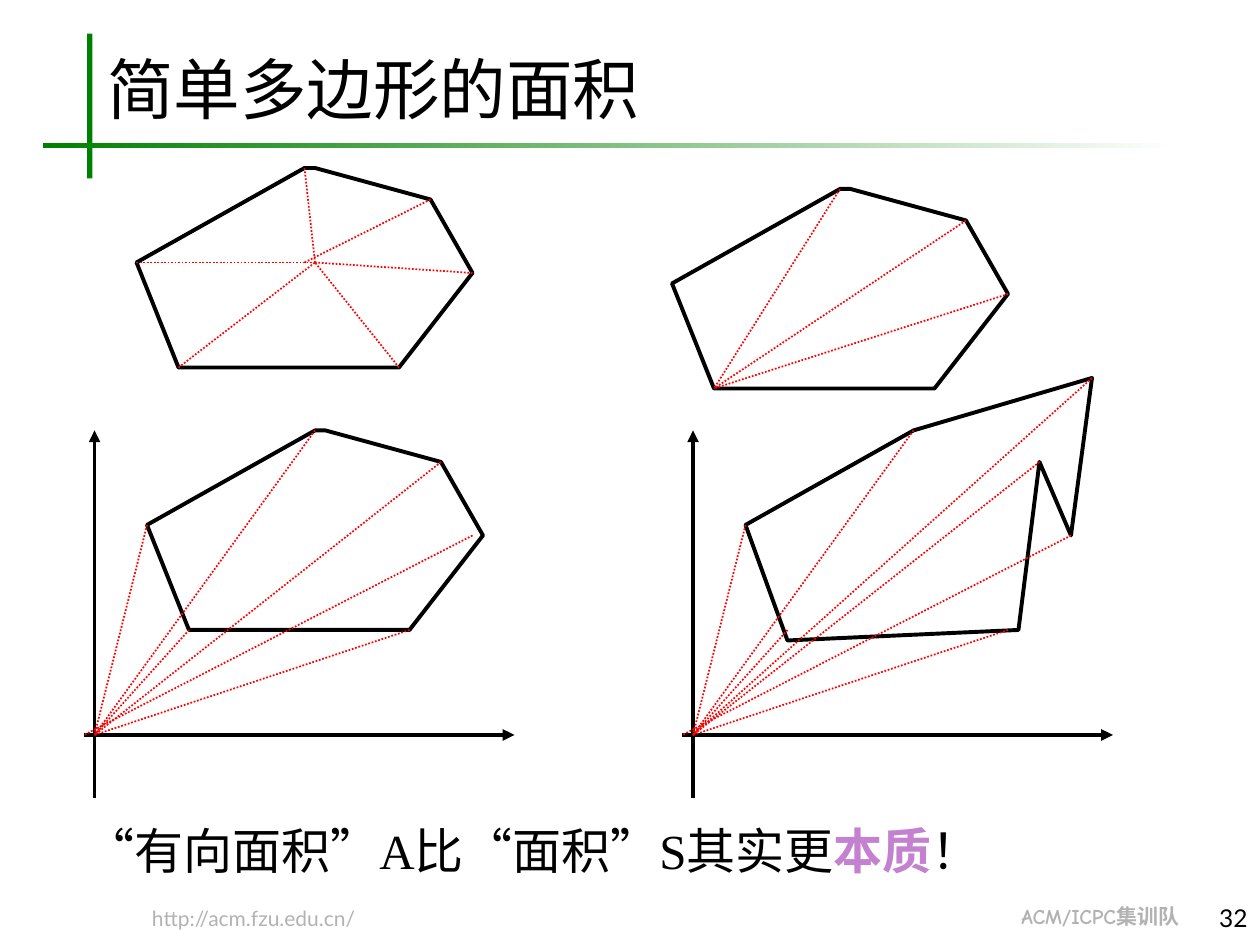
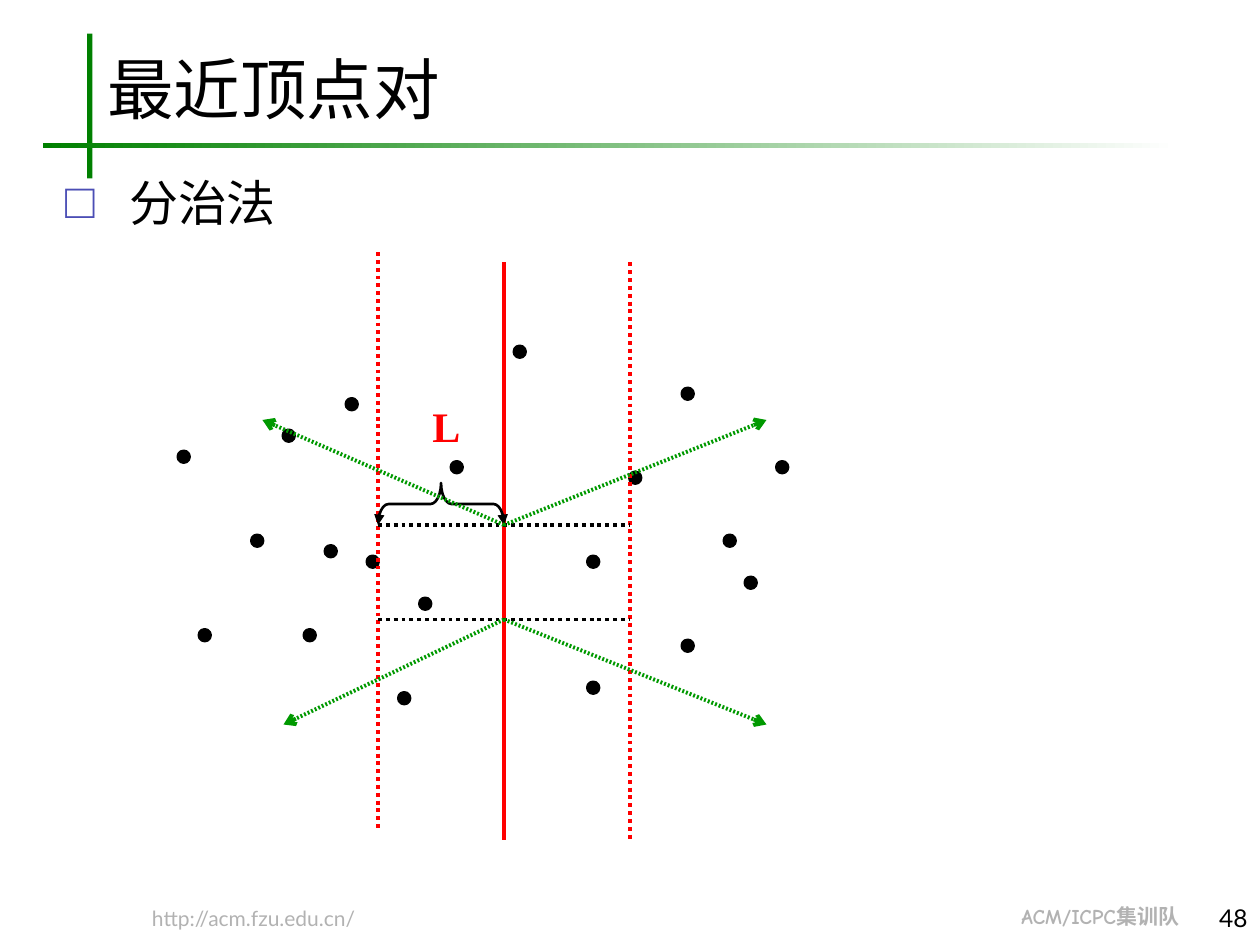
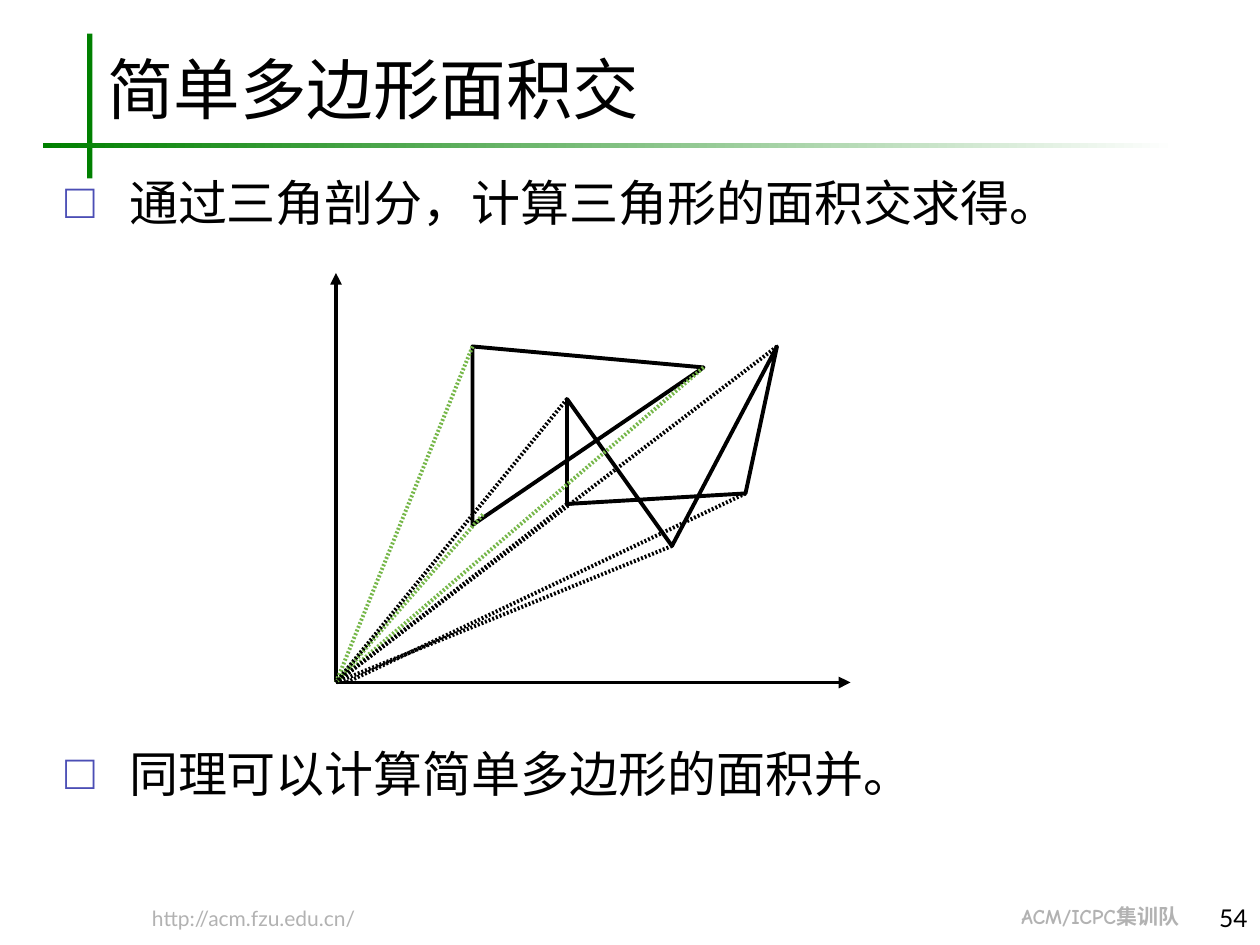
from lxml import etree
from pptx import Presentation
from pptx.dml.color import RGBColor
from pptx.enum import dml, lang, shapes, text
from pptx.oxml import ns
from pptx.util import Pt

PX = 7620  # EMU per px, 120 px to the inch
HEX = {"ink": "000000", "band": "008000", "paper": "FFFFFF", "foot": "B2B2B2",
       "red": "FF0000", "arrow": "009900", "leaf": "76B749",
       "mark": "4B4EB5", "key": "C481CF"}
SERIF, SANS, HAND = "Times New Roman", "Lato", "Comic Neue"


def rgb(name):
    return RGBColor.from_string(HEX[name])


def sub(node, tag, **attrs):
    return etree.SubElement(node, ns.qn(tag), attrs)


class Deck:
    def __init__(self):
        self.prs = Presentation()
        self.prs.slide_width, self.prs.slide_height = 1200 * PX, 900 * PX

    # Slide frame
    def start(self, title, num, items=(), gap=0):
        layout = self.prs.slide_layouts[1 if items else 5]
        self.slide = self.prs.slides.add_slide(layout)
        self.shapes = self.slide.shapes
        self.shape("RECTANGLE", 83, 32, 5, 138, "band")
        fade = self.shape("RECTANGLE", 41, 136, 1080, 5, "band").fill
        fade.gradient()
        fade.gradient_angle = 0
        for stop, name in zip(fade.gradient_stops, ("band", "paper")):
            stop.color.rgb = rgb(name)
        self.text("http://acm.fzu.edu.cn/", 133, 866, 310, 22, 12, SANS, "foot", space=0.8)
        self.text("ACM/ICPC集训队", 961, 864, 200, 22, 12, HAND, "foot", bold=True, space=0.8)
        self.text(str(num), 1120, 854, 80, 40, 14, SANS, right=True, pad=6, low=True)
        head = self.shapes.title
        self.place(head, 90, 40, 1070, 88)
        self.frame(head, 6, True)
        head.text_frame.text = title
        para = head.text_frame.paragraphs[0]
        para.alignment = text.PP_ALIGN.LEFT
        self.font(para.font, 38)
        if items:
            self.bullets(items, gap)

    def place(self, item, x, y, w, h):
        item.left, item.top, item.width, item.height = (n * PX for n in (x, y, w, h))

    # Text
    def frame(self, item, pad, low=False):
        box = item.text_frame
        box.word_wrap = True
        box.auto_size = text.MSO_AUTO_SIZE.NONE
        box.vertical_anchor = text.MSO_ANCHOR.BOTTOM if low else text.MSO_ANCHOR.TOP
        box.margin_left = box.margin_right = 12 * PX
        box.margin_top = box.margin_bottom = pad * PX

    def font(self, font, size, face=SERIF, color="ink", bold=False):
        font.size, font.name, font.bold = Pt(size), face, bold
        font.color.rgb = rgb(color)
        font.language_id = lang.MSO_LANGUAGE_ID.SIMPLIFIED_CHINESE

    def text(self, words, x, y, w, h, size, face=SERIF, color="ink", bold=False,
             space=1.0, right=False, pad=1, low=False):
        box = self.shapes.add_textbox(x * PX, y * PX, w * PX, h * PX)
        self.frame(box, pad, low)
        para = box.text_frame.paragraphs[0]
        para.line_spacing = space
        para.alignment = text.PP_ALIGN.RIGHT if right else text.PP_ALIGN.LEFT
        self.font(para.font, size, face, color, bold)
        para.add_run().text = words
        return para

    def bullets(self, items, gap):
        body = self.slide.placeholders[1]
        self.place(body, 50, 158, 1110, 682)
        self.frame(body, 6)
        body.text_frame.text = "\n".join(items)
        for i, para in enumerate(body.text_frame.paragraphs):
            para.space_before = Pt(gap if i else 0)
            props = para._p.get_or_add_pPr()
            props.set("marL", str(61 * PX))
            props.set("indent", str(-61 * PX))
            sub(sub(props, "a:buClr"), "a:srgbClr", val=HEX["mark"])
            sub(props, "a:buFont", typeface=SERIF)
            sub(props, "a:buChar", char="□")
            self.font(para.font, 28)

    # Shapes and lines
    def shape(self, kind, x, y, w, h, fill=None):
        item = self.shapes.add_shape(shapes.MSO_SHAPE[kind], x * PX, y * PX, w * PX, h * PX)
        item.shadow.inherit = False
        item.line.fill.background()
        if fill:
            item.fill.solid()
            item.fill.fore_color.rgb = rgb(fill)
        else:
            item.fill.background()
        return item

    def pen(self, item, color="ink", width=2.25, dash=None, head=None, tail=None):
        line = item.line
        line.fill.solid()
        line.color.rgb = rgb(color)
        line.width = Pt(width)
        node = line._get_or_add_ln()
        if dash == "dot":
            line.dash_style = dml.MSO_LINE.ROUND_DOT
        elif dash == "fine":
            sub(sub(node, "a:custDash"), "a:ds", d="50000", sp="50000")
        for tag, end in (("a:headEnd", head), ("a:tailEnd", tail)):
            if end:
                sub(node, tag, type=end)

    def line(self, start, end, color="ink", **style):
        ends = [n * PX for n in (*start, *end)]
        item = self.shapes.add_connector(shapes.MSO_CONNECTOR.STRAIGHT, *ends)
        self.pen(item, color, **style)
        sub(item._element.spPr, "a:effectLst")

    def rays(self, hub, points, color="red", width=1, dash="dot"):
        for point in points:
            self.line(point, hub, color, width=width, dash=dash)

    def poly(self, points, dx=0, dy=0):
        points = [(x + dx, y + dy) for x, y in points]
        path = self.shapes.build_freeform(*points[0], scale=PX)
        path.add_line_segments(points[1:], close=True)
        item = path.convert_to_shape()
        item.shadow.inherit = False
        item.fill.background()
        self.pen(item)

    def dot(self, x, y):
        self.pen(self.shape("OVAL", x, y, 10, 10, "ink"))


def area(deck):
    deck.start("简单多边形的面积", 32)
    hull = [(290, 160), (130, 250), (170, 350), (380, 350),
            (450, 260), (410, 190), (300, 160)]
    # Fan from an inner point
    deck.poly(hull)
    deck.rays((300, 250), hull[:5])
    deck.line((410, 190), (290, 250), "red", width=1, dash="dot")
    # Fan from a corner
    deck.poly(hull, 510, 20)
    deck.rays((680, 370), [(800, 180), (920, 210), (960, 280)])
    # Fans from the origin
    deck.poly(hull, 10, 250)
    deck.poly([(710, 500), (750, 610), (970, 600), (990, 440),
               (1020, 510), (1040, 360), (870, 410)])
    tips = [(140, 500), (300, 410), (180, 600), (420, 440), (390, 600)]
    for dx in (0, 570):
        deck.line((80 + dx, 700), (490 + dx, 700), tail="triangle")
        deck.line((90 + dx, 410), (90 + dx, 760), head="triangle")
        deck.rays((90 + dx, 700), [(x + dx, y) for x, y in tips])
        deck.rays((80 + dx, 700), [(450 + dx, 510)])
    deck.rays((660, 700), [(1040, 360)])
    # Remark
    para = deck.text("“有向面积”A比“面积”S其实更", 70, 780, 1040, 59, 28)
    key = para.add_run()
    key.text = "本质"
    key.font.bold = True
    key.font.color.rgb = rgb("key")
    para.add_run().text = "！"


def pair(deck):
    deck.start("最近顶点对", 48, ["分治法"])
    # Point set
    for x, y in [(170, 430), (310, 520), (190, 600), (380, 660), (650, 610),
                 (560, 650), (600, 450), (690, 510), (290, 600), (490, 330),
                 (560, 530), (650, 370), (740, 440), (270, 410), (330, 380),
                 (430, 440), (710, 550), (240, 510), (350, 530), (400, 570)]:
        deck.dot(x, y)
    # Strip around the dividing line
    for x, y, dash in ((360, 240, "dot"), (600, 250, "dot"), (480, 250, None)):
        deck.line((x, y), (x, y + 550), "red", dash=dash)
    for y in (500, 590):
        deck.line((360, y), (600, y), dash="dot")
    # Strip width
    brace = deck.shape("LEFT_BRACE", 400, 420, 40, 120)
    brace.rotation = 90
    brace.adjustments[0] = 0.25
    deck.pen(brace, width=1.5, head="triangle", tail="triangle")
    deck.text("L", 400, 390, 40, 41, 24, color="red", bold=True, space=0.8)
    # Arrows outward
    for y, end in ((500, (730, 400)), (590, (730, 690)),
                   (590, (270, 690)), (500, (250, 400))):
        deck.line((480, y), end, "arrow", dash="fine", tail="arrow")


def cross(deck):
    deck.start("简单多边形面积交", 54,
               ["通过三角剖分，计算三角形的面积交求得。", "同理可以计算简单多边形的面积并。"], 293)
    # Two polygons
    star = [(540, 380), (540, 480), (710, 470), (740, 330), (640, 520)]
    deck.poly(star)
    deck.poly([(450, 330), (450, 500), (670, 350)])
    # Axes
    hub = (320, 650)
    deck.line((320, 260), hub, head="triangle")
    deck.line(hub, (810, 650), tail="triangle")
    # Fans from the origin
    deck.rays(hub, [(450, 330), (460, 490), (670, 350)], "leaf", 2.25, "fine")
    deck.rays(hub, star[:2] + star[3:], "ink", 2.25, "fine")
    deck.rays((330, 650), [star[2]], "ink", 2.25, "fine")


def main():
    deck = Deck()
    for build in (area, pair, cross):
        build(deck)
    deck.prs.save("out.pptx")


if __name__ == "__main__":
    main()
